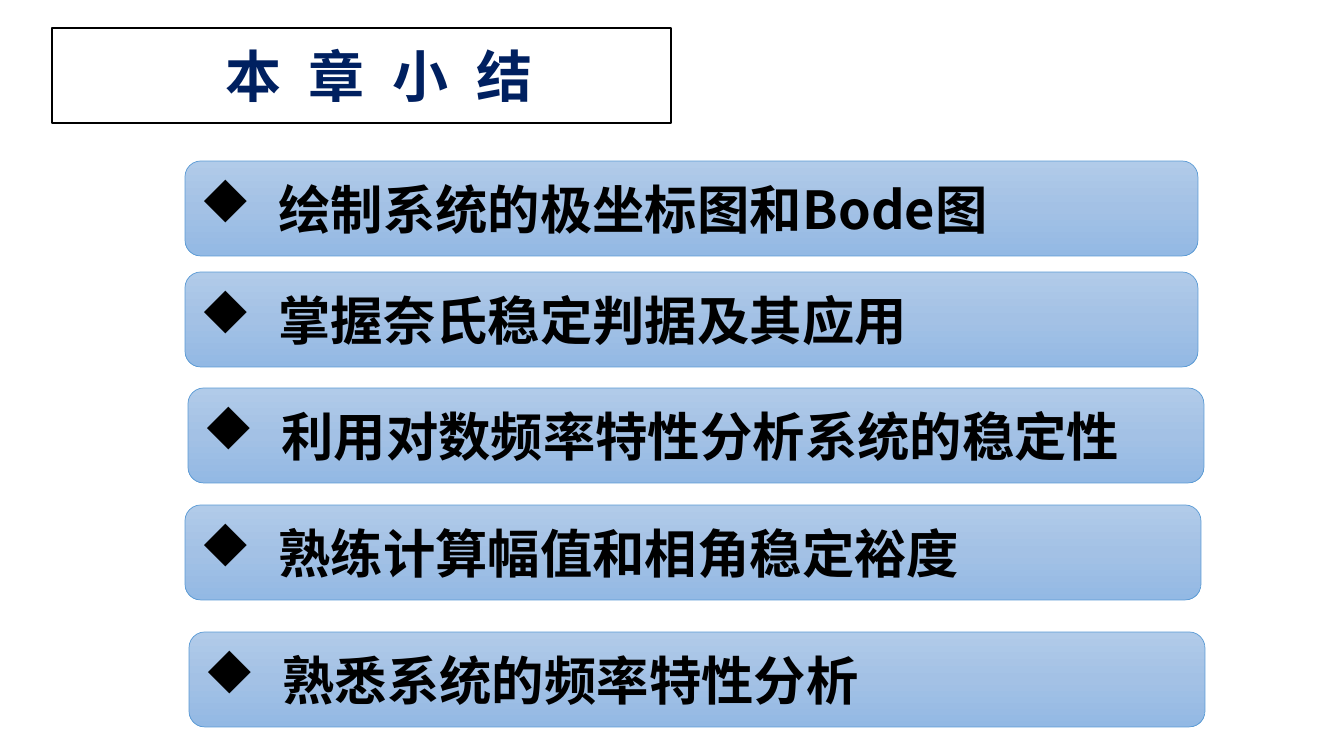
from lxml.etree import SubElement
from pptx import Presentation
from pptx.dml.color import RGBColor
from pptx.enum.shapes import MSO_SHAPE as SHAPE
from pptx.enum.text import MSO_ANCHOR as ANCHOR, PP_ALIGN as ALIGN
from pptx.oxml.ns import qn
from pptx.util import Emu, Pt

COLORS = {
    "ink": "000000",
    "navy": "002060",
    "edge": "5B9BD5",
    "top": "B1CBE9",
    "middle": "A3C1E5",
    "bottom": "93B9E4",
}
GOALS = [
    (185, 161, 1013, "绘制系统的极坐标图和Bode图"),
    (185, 272, 1013, "掌握奈氏稳定判据及其应用"),
    (188, 388, 1016, "利用对数频率特性分析系统的稳定性"),
    (185, 505, 1016, "熟练计算幅值和相角稳定裕度"),
    (189, 632, 1016, "熟悉系统的频率特性分析"),
]


def px(n):
    return Emu(round(n * 914400 / 100.8))


def rgb(name):
    return RGBColor.from_string(COLORS[name])


class Board:
    font = "Noto Sans CJK SC"
    height = 95

    def __init__(self, prs):
        self.slide = prs.slides.add_slide(prs.slide_layouts[5])

    def outline(self, sp, color, width):
        sp.line.color.rgb = rgb(color)
        sp.line.width = Pt(width)

    def label(self, sp, text, size, color, align, inset=10):
        tf = sp.text_frame
        tf.word_wrap = True
        tf.vertical_anchor = ANCHOR.MIDDLE
        tf.margin_left, tf.margin_right = px(inset), px(10)
        tf.margin_top = tf.margin_bottom = px(5)
        p = tf.paragraphs[0]
        p.text = text
        p.alignment = align
        p.line_spacing = 1.0
        p.font.size = Pt(size)
        p.font.bold = True
        p.font.name = self.font
        p.font.color.rgb = rgb(color)
        rPr = p.runs[0]._r.get_or_add_rPr()
        SubElement(rPr, qn("a:ea"), typeface=self.font)
        return p

    def title(self, x, y, w, text):
        sp = self.slide.shapes.title
        sp.left, sp.top, sp.width, sp.height = px(x), px(y), px(w), px(self.height)
        geom = SubElement(sp._element.spPr, qn("a:prstGeom"), prst="roundRect")
        SubElement(geom, qn("a:avLst"))
        sp.fill.background()
        self.outline(sp, "ink", 1)
        p = self.label(sp, text, 40, "navy", ALIGN.CENTER, 45)
        p.runs[0]._r.get_or_add_rPr().set("spc", "2000")

    def gradient(self, sp):
        sp.fill.gradient()
        sp.fill.gradient_angle = 270
        stops = sp._element.spPr.find(qn("a:gradFill")).find(qn("a:gsLst"))
        for stop in list(stops):
            stops.remove(stop)
        for pos, name in ((0, "top"), (50, "middle"), (100, "bottom")):
            stop = SubElement(stops, qn("a:gs"), pos=str(pos * 1000))
            SubElement(stop, qn("a:srgbClr"), val=COLORS[name])

    def goal(self, x, y, w, text):
        sp = self.slide.shapes.add_shape(
            SHAPE.ROUNDED_RECTANGLE, px(x), px(y), px(w), px(self.height))
        sp.shadow.inherit = False
        self.gradient(sp)
        self.outline(sp, "edge", 0.5)
        p = self.label(sp, text, 37.4, "ink", ALIGN.LEFT)
        self.bullet(p, 79)

    def bullet(self, p, indent):
        pPr = p._p.get_or_add_pPr()
        pPr.set("marL", str(px(indent)))
        pPr.set("indent", str(-px(indent)))
        font = pPr.makeelement(qn("a:buFont"), {"typeface": "Wingdings", "charset": "2"})
        char = pPr.makeelement(qn("a:buChar"), {"char": "u"})
        defaults = pPr.find(qn("a:defRPr"))
        defaults.addprevious(font)
        defaults.addprevious(char)


def main():
    prs = Presentation()
    prs.slide_width, prs.slide_height = px(1344), px(756)
    board = Board(prs)
    board.title(52, 28, 619, "本章小结")
    for goal in GOALS:
        board.goal(*goal)
    prs.save("out.pptx")


if __name__ == "__main__":
    main()
